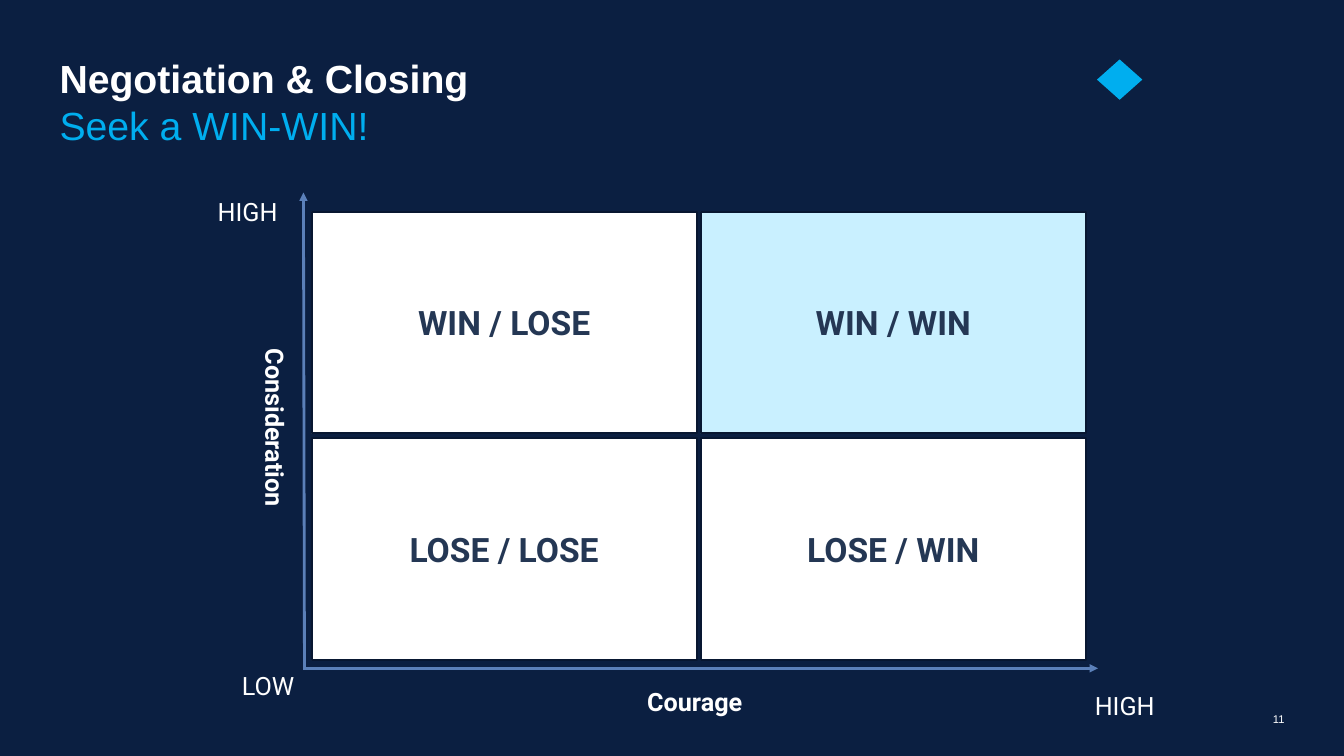
from lxml import etree
from pptx import Presentation
from pptx import util as u
from pptx.dml.color import RGBColor
from pptx.enum import shapes, text
from pptx.oxml.ns import qn

PX = 9144  # EMU per px, 100 px to the inch

NAVY = RGBColor(0x0B, 0x1F, 0x41)
WHITE = RGBColor(0xFF, 0xFF, 0xFF)
CYAN = RGBColor(0x00, 0xAE, 0xEF)
PALE = RGBColor(0xC9, 0xF0, 0xFF)
EDGE = RGBColor(0x08, 0x17, 0x31)
INK = RGBColor(0x24, 0x37, 0x54)
AXIS = RGBColor(0x5B, 0x80, 0xB9)

LEFT, TOP = 309, 210
WIDE, HIGH = 382, 220
STEP_X, STEP_Y = 386, 225
GRID = [["WIN / LOSE", "WIN / WIN"], ["LOSE / LOSE", "LOSE / WIN"]]


def px(*vals):
    return [u.Emu(val * PX) for val in vals]


def write(frame, words, size, color, font, bold=False):
    frame.text = words
    para = frame.paragraphs[0]
    face = para.runs[0].font
    face.name, face.size, face.bold = font, u.Pt(size), bold
    face.color.rgb = color
    return para


def add_head(slide, words, box, size, color, bold=False):
    """Arial text without insets."""
    frame = slide.shapes.add_textbox(*px(*box)).text_frame
    frame.word_wrap = True
    frame.margin_left = frame.margin_right = 0
    frame.margin_top = frame.margin_bottom = 0
    return write(frame, words, size, color, "Arial", bold)


def add_label(slide, words, box, bold=False, turn=0):
    """Roboto label beside an axis."""
    label = slide.shapes.add_textbox(*px(*box))
    label.rotation = turn
    label.text_frame.word_wrap = True
    label.text_frame.auto_size = text.MSO_AUTO_SIZE.SHAPE_TO_FIT_TEXT
    write(label.text_frame, words, 18, WHITE, "Roboto", bold)


def add_cell(slide, words, box, fill):
    cell = slide.shapes.add_shape(shapes.MSO_SHAPE.RECTANGLE, *px(*box))
    cell.shadow.inherit = False
    cell.fill.solid()
    cell.fill.fore_color.rgb = fill
    cell.line.color.rgb = EDGE
    cell.line.width = u.Pt(1.5)
    cell.text_frame.vertical_anchor = text.MSO_ANCHOR.MIDDLE
    para = write(cell.text_frame, words, 24, INK, "Roboto", True)
    para.alignment = text.PP_ALIGN.CENTER


def add_axis(slide, ends):
    axis = slide.shapes.add_connector(shapes.MSO_CONNECTOR.STRAIGHT, *px(*ends))
    axis.line.color.rgb = AXIS
    axis.line.width = u.Pt(2)
    etree.SubElement(axis.line._get_or_add_ln(), qn("a:tailEnd"), type="triangle")
    etree.SubElement(axis._element.spPr, qn("a:effectLst"))


def add_mark(slide, box):
    mark = slide.shapes.add_shape(shapes.MSO_SHAPE.DIAMOND, *px(*box))
    mark.shadow.inherit = False
    mark.fill.solid()
    mark.fill.fore_color.rgb = CYAN
    mark.line.fill.background()


def main():
    deck = Presentation()
    deck.slide_width, deck.slide_height = px(1333, 750)
    slide = deck.slides.add_slide(deck.slide_layouts[6])
    slide.background.fill.solid()
    slide.background.fill.fore_color.rgb = NAVY

    # Heading, mark and page number
    add_mark(slide, (1088, 59, 45, 40))
    title = add_head(slide, "Negotiation & Closing", (59, 59, 598, 42), 28, WHITE, True)
    title.line_spacing = 0.9
    add_head(slide, "Seek a WIN-WIN!", (59, 101, 598, 43), 28, CYAN)
    page = add_head(slide, "11", (1249, 707, 25, 13), 8, WHITE)
    page.alignment = text.PP_ALIGN.RIGHT

    # Axes
    add_axis(slide, (301, 663, 1089, 663))
    add_axis(slide, (302, 663, 301, 191))

    # Quadrants
    for row, line in enumerate(GRID):
        for col, words in enumerate(line):
            box = (LEFT + col * STEP_X, TOP + row * STEP_Y, WIDE, HIGH)
            add_cell(slide, words, box, PALE if words == "WIN / WIN" else WHITE)

    # Axis labels
    add_label(slide, "LOW", (230, 660, 79, 40))
    add_label(slide, "HIGH", (1076, 680, 87, 40))
    add_label(slide, "HIGH", (206, 190, 87, 40))
    add_label(slide, "Courage", (632, 676, 299, 40), True)
    add_label(slide, "Consideration", (163, 426, 220, 40), True, 90)

    deck.save("out.pptx")


if __name__ == "__main__":
    main()
